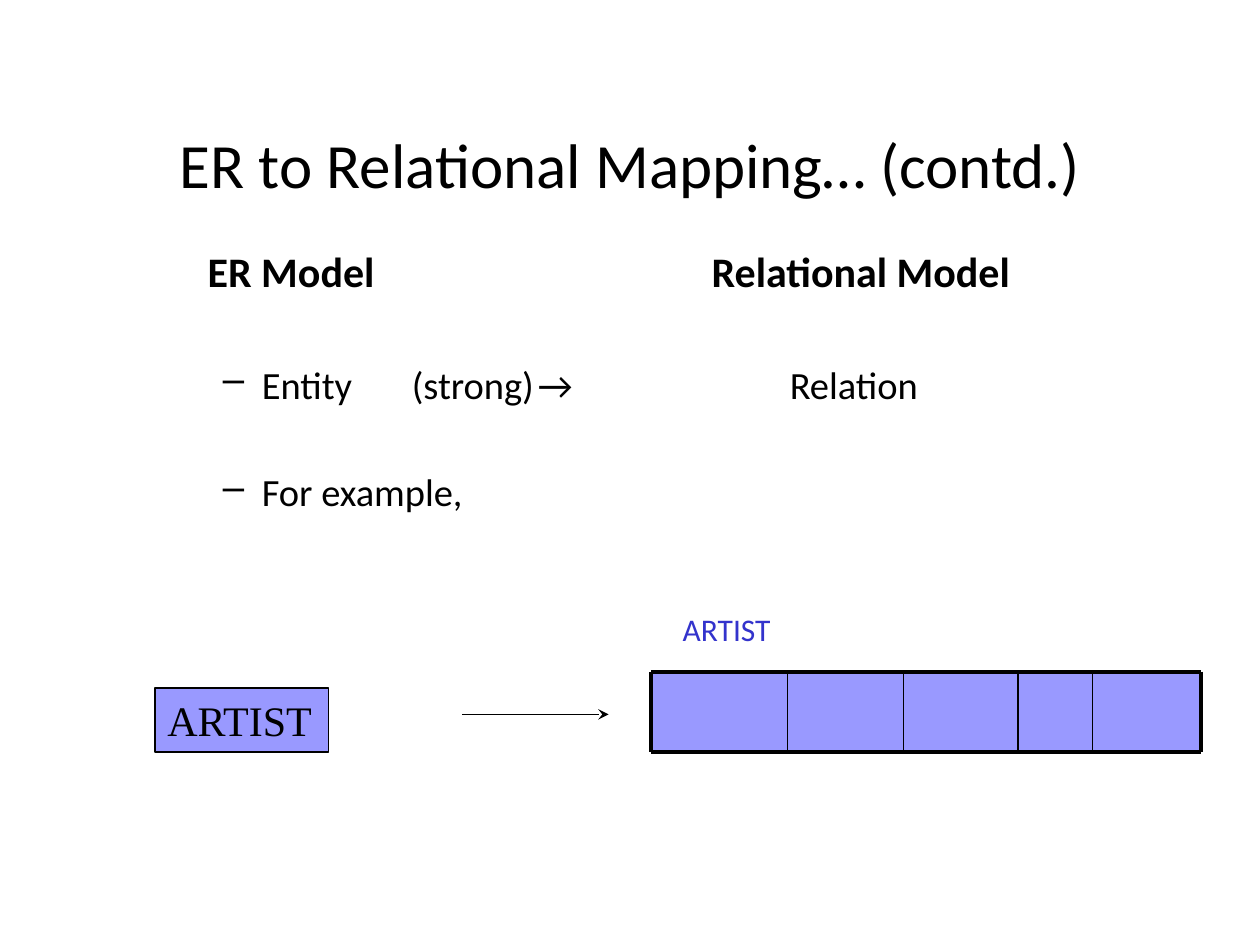
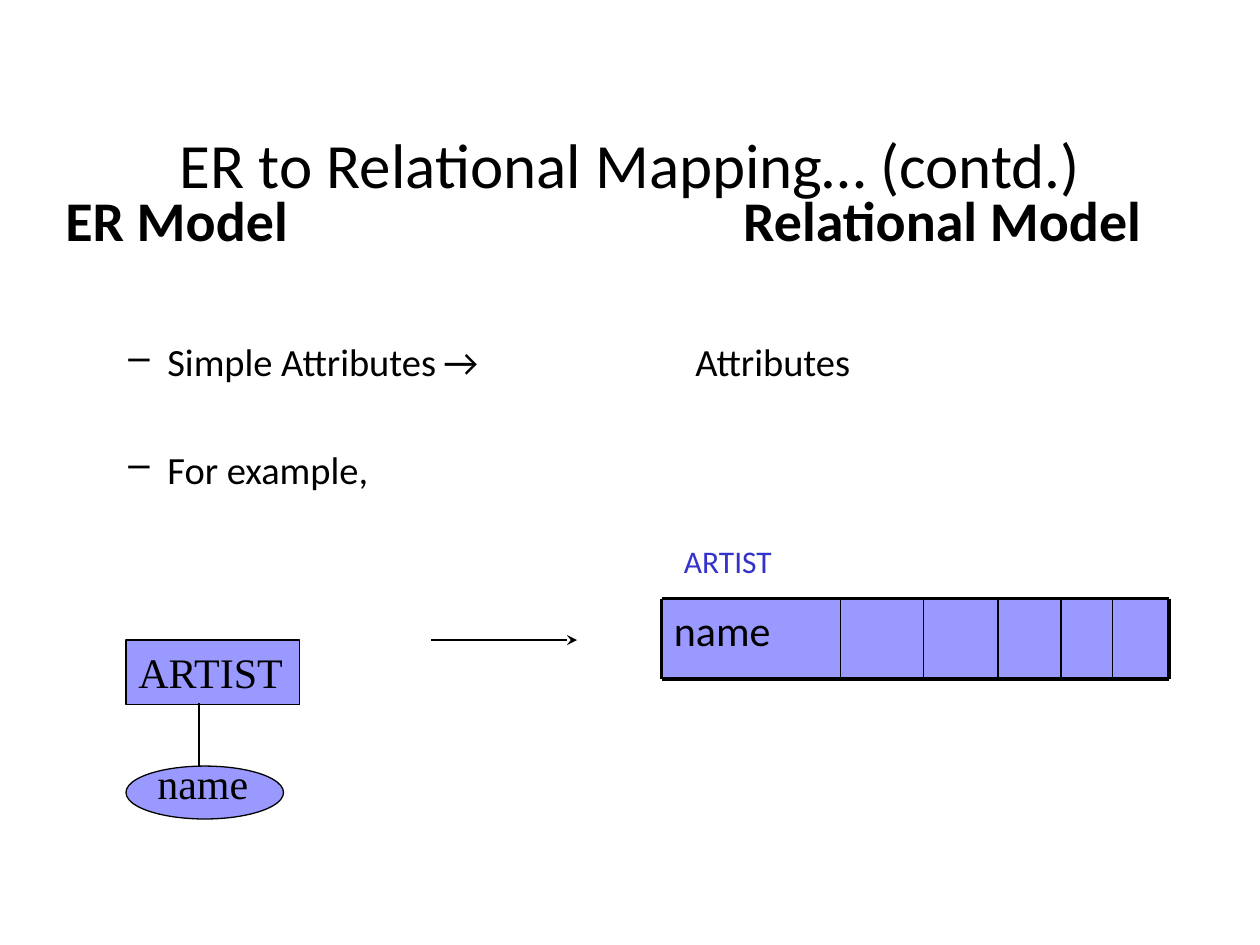
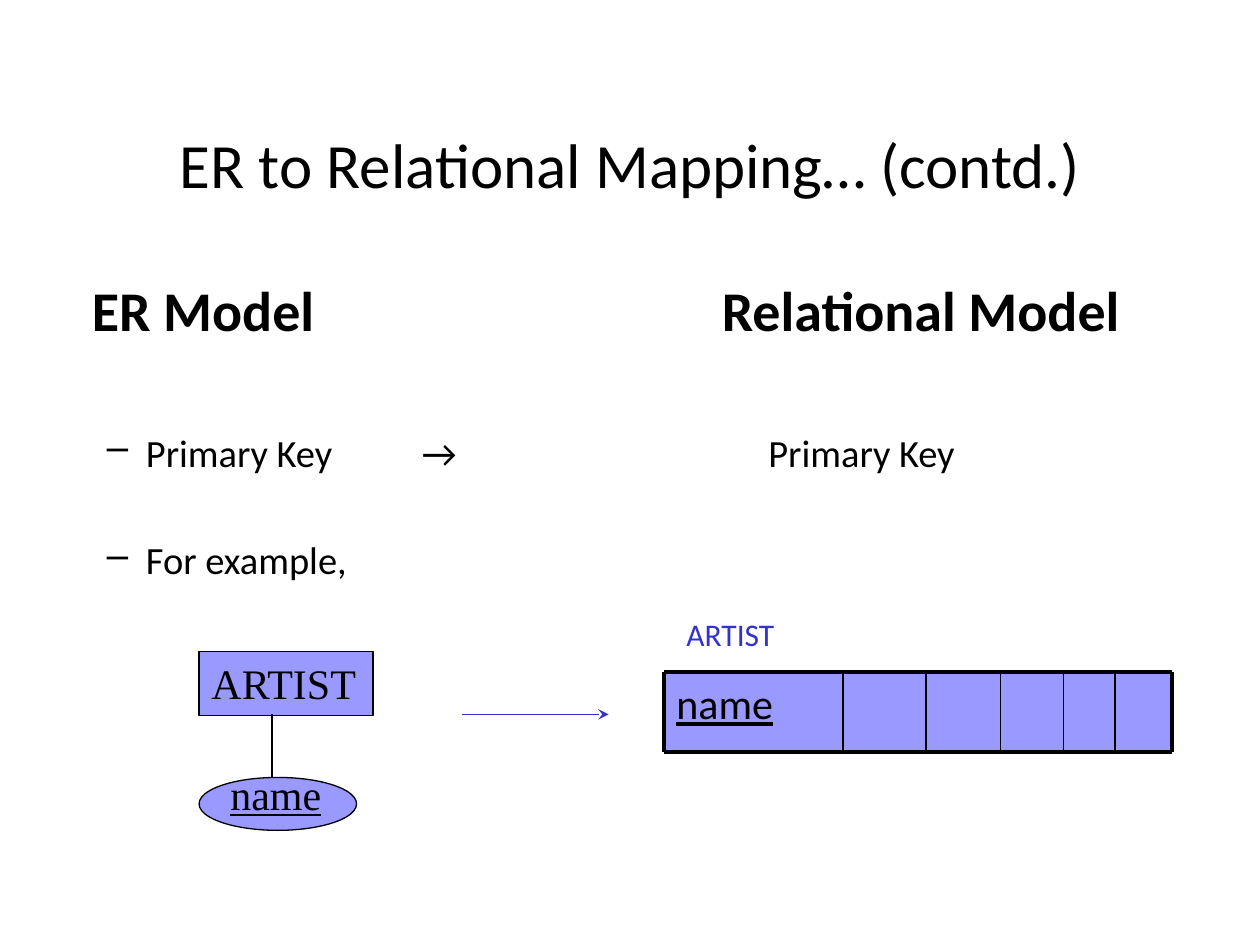
from itertools import accumulate

from lxml import etree
from pptx import Presentation
from pptx import util as u
from pptx.dml.color import RGBColor
from pptx.enum import shapes, text
from pptx.oxml.ns import qn

COLORS = {"ink": "000000", "fill": "9999FF", "accent": "3333CC"}
BODY_FONT, DIAGRAM_FONT = "Calibri", "Times New Roman"
TITLE = "ER to Relational Mapping… (contd.)"
PLAIN_CELLS = [1.08, 0.92, 0.91, 0.59, 0.86]
NAMED_CELLS = [1.42, 0.66, 0.59, 0.5, 0.41, 0.45]
ROW_HEIGHT = 0.64


def rgb(color):
    """Return the named colour."""
    return RGBColor.from_string(COLORS[color])


def box(left, top, width, height):
    """Convert a frame in inches to lengths."""
    return [u.Inches(value) for value in (left, top, width, height)]


def style(paragraph, size, font=BODY_FONT, color="ink", bold=False, underline=False):
    """Format every run of a paragraph."""
    for run in paragraph.runs:
        run.font.name = font
        run.font.size = u.Pt(size)
        run.font.color.rgb = rgb(color)
        run.font.bold = bold
        run.font.underline = underline


def write(shape, words, size, **look):
    """Put one left-aligned line at the top of a shape."""
    frame = shape.text_frame
    frame.word_wrap = True
    frame.margin_right = 0
    frame.vertical_anchor = text.MSO_ANCHOR.TOP
    frame.text = words
    frame.paragraphs[0].alignment = text.PP_ALIGN.LEFT
    style(frame.paragraphs[0], size, **look)


def add_label(slide, frame, words, size, **look):
    """Add a line of free text."""
    write(slide.shapes.add_textbox(*box(*frame)), words, size, **look)


def add_block(slide, kind, frame, outlined=True):
    """Add a filled shape of the diagram."""
    block = slide.shapes.add_shape(kind, *box(*frame))
    block.shadow.inherit = False
    block.fill.solid()
    block.fill.fore_color.rgb = rgb("fill")
    if outlined:
        block.line.color.rgb = rgb("ink")
        block.line.width = u.Pt(0.75)
    else:
        block.line.fill.background()
    return block


def add_line(slide, start, end, width=0.75, color="ink", arrow=False):
    """Add a straight line, with an arrowhead at its end if asked."""
    line = slide.shapes.add_connector(
        shapes.MSO_CONNECTOR.STRAIGHT, *box(*start, *end))
    line.line.color.rgb = rgb(color)
    line.line.width = u.Pt(width)
    if arrow:
        etree.SubElement(line.line._get_or_add_ln(), qn("a:tailEnd"), type="stealth")
    etree.SubElement(line._element.spPr, qn("a:effectLst"))


def set_layout(paragraph, stops, bulleted=False):
    """Set the tab stops of a paragraph, and its indent and dash."""
    props = paragraph._p.get_or_add_pPr()
    if bulleted:
        props.set("marL", str(u.Inches(0.81)))
        props.set("indent", str(u.Inches(-0.31)))
        etree.SubElement(props, qn("a:buChar"), char="–")
    tabs = etree.SubElement(props, qn("a:tabLst"))
    for stop in stops:
        etree.SubElement(tabs, qn("a:tab"), pos=str(u.Inches(stop)), algn="l")


def add_mapping(slide, left, top, heading, heading_stops, size, rule, rule_stops):
    """Add the model headings, the mapping rule and the example line."""
    frame = slide.shapes.add_textbox(*box(left, top, 9.7 - left, 2.4)).text_frame
    frame.word_wrap = True
    frame.text = "\n".join([heading, rule, "For example,"])
    models, mapping, example = frame.paragraphs
    style(models, size, bold=True)
    set_layout(models, heading_stops)
    for line, gap in ((mapping, 1.5 * size + 1), (example, 35)):
        style(line, 22)
        line.space_before = u.Pt(gap)
        set_layout(line, rule_stops, bulleted=True)


def add_entity(slide, left, top):
    """Add the ARTIST entity."""
    entity = add_block(slide, shapes.MSO_SHAPE.RECTANGLE, (left, top, 1.38, 0.51))
    write(entity, "ARTIST", 24, font=DIAGRAM_FONT)


def add_attribute(slide, left, top, key):
    """Add the name attribute below the entity at this position."""
    add_block(slide, shapes.MSO_SHAPE.OVAL, (left, top + 1, 1.25, 0.42))
    add_line(slide, (left + 0.58, top + 0.5), (left + 0.58, top + 1))
    add_label(slide, (left + 0.15, top + 0.88, 0.92, 0.5), "name", 24,
              font=DIAGRAM_FONT, underline=key)


def add_relation(slide, left, top, widths, label_shift, column="", key=False):
    """Add the ARTIST relation as a row of cells with a heavy frame."""
    edges = list(accumulate(widths, initial=left))
    bottom = top + ROW_HEIGHT
    cells = [add_block(slide, shapes.MSO_SHAPE.RECTANGLE,
                       (edge, top, width, ROW_HEIGHT), outlined=False)
             for edge, width in zip(edges, widths)]
    if column:
        write(cells[0], column, 24, underline=key)
    for edge in edges:
        outer = edge in (edges[0], edges[-1])
        add_line(slide, (edge, top), (edge, bottom), 2.25 if outer else 1)
    for side in (top, bottom):
        add_line(slide, (edges[0], side), (edges[-1], side), 2.25)
    shift_x, shift_y = label_shift
    add_label(slide, (left + shift_x, top + shift_y, 1.1, 0.4), "ARTIST", 18,
              color="accent")


def add_arrow(slide, left, top, color="ink"):
    """Add the arrow from the entity to the relation."""
    add_line(slide, (left, top), (left + 1.16, top), color=color, arrow=True)


def add_titled_slide(deck):
    """Add a slide with the shared title."""
    slide = deck.slides.add_slide(deck.slide_layouts[5])
    title = slide.shapes.title
    title.left, title.top, title.width, title.height = box(0.5, 0.67, 9, 1.25)
    title.text_frame.text = TITLE
    title.text_frame.vertical_anchor = text.MSO_ANCHOR.MIDDLE
    title.text_frame.paragraphs[0].alignment = text.PP_ALIGN.CENTER
    style(title.text_frame.paragraphs[0], 36)
    return slide


def main():
    """Build the three mapping slides."""
    deck = Presentation()
    deck.slide_width, deck.slide_height = u.Inches(10), u.Inches(7.5)

    strong_entity = add_titled_slide(deck)
    add_mapping(strong_entity, 1.17, 1.9, "\tER Model\tRelational Model", [0.38, 4.38],
                24, "Entity\t(strong)\t→\tRelation", [2, 3, 5])
    add_entity(strong_entity, 1.23, 5.46)
    add_arrow(strong_entity, 3.67, 5.67)
    add_relation(strong_entity, 5.17, 5.33, PLAIN_CELLS, (0.15, -0.54))

    simple_attribute = add_titled_slide(deck)
    add_mapping(simple_attribute, 0.42, 1.42, "ER Model\tRelational Model", [5.38],
                32, "Simple Attributes\t→\tAttributes", [3, 5])
    add_entity(simple_attribute, 1, 5.08)
    add_attribute(simple_attribute, 1, 5.08, key=False)
    add_arrow(simple_attribute, 3.42, 5.08)
    add_relation(simple_attribute, 5.25, 4.75, NAMED_CELLS, (0.08, -0.5), "name")

    primary_key = add_titled_slide(deck)
    add_mapping(primary_key, 0.25, 2.14, "\tER Model\tRelational Model", [0.38, 5.38],
                32, "Primary Key\t→\tPrimary Key", [3, 5.75])
    add_entity(primary_key, 1.58, 5.17)
    add_attribute(primary_key, 1.58, 5.17, key=True)
    add_arrow(primary_key, 3.67, 5.67, "accent")
    add_relation(primary_key, 5.27, 5.33, NAMED_CELLS, (0.08, -0.5), "name", key=True)

    deck.save("out.pptx")


if __name__ == "__main__":
    main()
